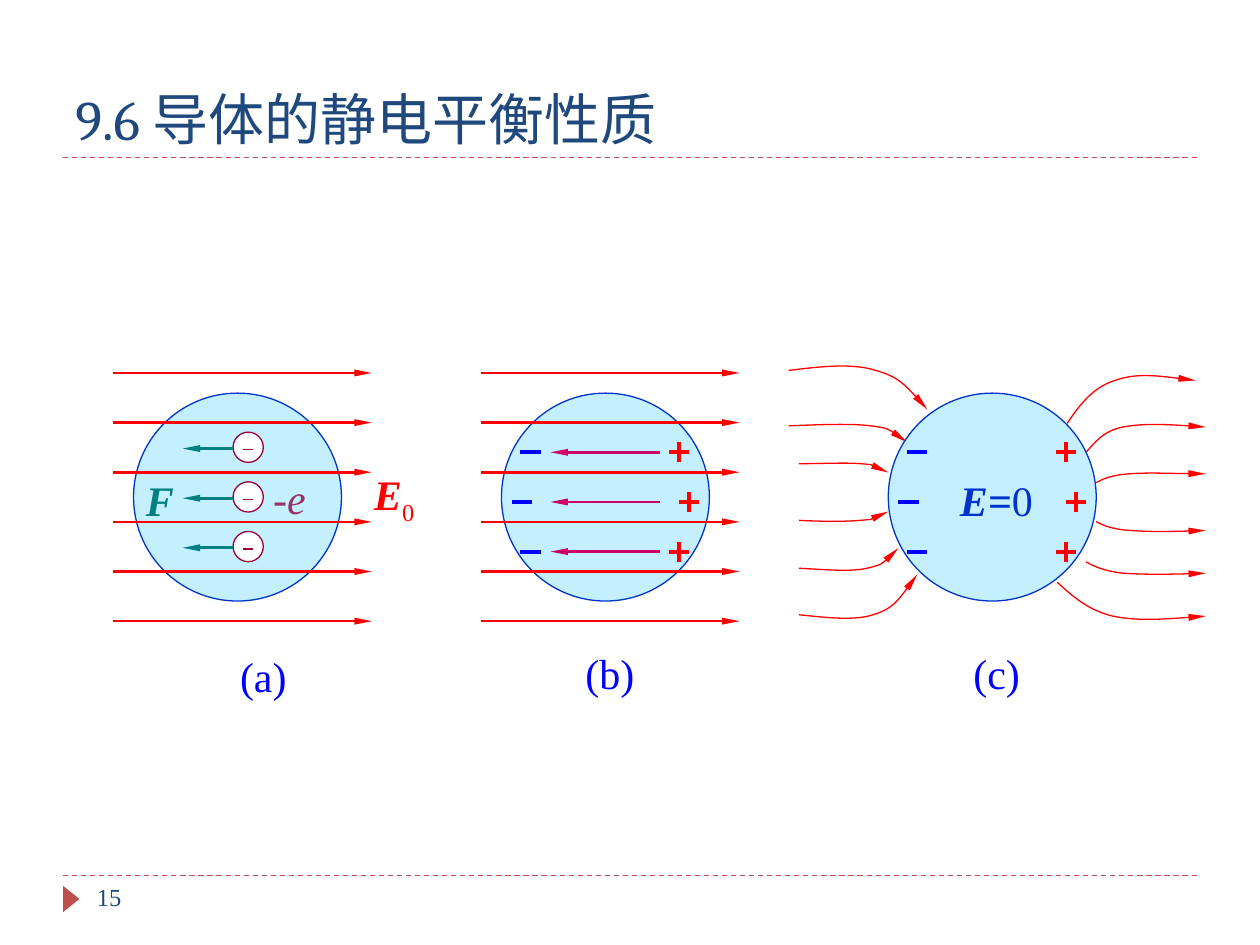
from lxml.etree import SubElement
from pptx import Presentation
from pptx.dml.color import RGBColor
from pptx.enum.dml import MSO_LINE
from pptx.enum.shapes import MSO_CONNECTOR, MSO_SHAPE
from pptx.enum.text import MSO_ANCHOR, PP_ALIGN
from pptx.oxml.ns import qn
from pptx.util import Inches, Pt


class Theme:
    navy, rust = "1F497D", "C0504D"
    ball, rim, white = "C3EFFF", "0033CC", "FFFFFF"
    red, blue, pink = "FF0000", "0000FF", "CC0066"
    teal, wine, plum = "008080", "990033", "993366"
    head, body = "Cambria", "Times New Roman"
    title, label, page = 32, 24, 14
    thin, mid, thick = 0.75, 1.5, 2.25


# Content: label text, left, top, width, colour, centred; runs are (text, style)
LABELS = [
    ([("F", "bi")], 1.06, 3.72, 0.63, Theme.teal, False),
    ([("E", "bi"), ("0", "sub")], 2.87, 3.67, 0.63, Theme.red, False),
    ([("-e", "i")], 2.07, 3.7, 0.87, Theme.plum, False),
    ([("E=", "bi"), ("0", "")], 7.52, 3.72, 0.87, Theme.rim, False),
    ([("(a)", "")], 1.38, 5.11, 1.42, Theme.blue, True),
    ([("(b)", "")], 4.13, 5.09, 1.42, Theme.blue, True),
    ([("(c)", "")], 7.2, 5.09, 1.42, Theme.blue, True),
]

# Bent field lines: start, then two cubic curves of three points each
INWARD = [
    [(6.26, 2.94), (6.51, 2.91), (6.76, 2.88), (6.95, 2.94), (7.13, 2.99), (7.25, 3.12), (7.36, 3.25)],
    [(6.26, 3.38), (6.51, 3.37), (6.76, 3.36), (6.91, 3.38), (7.07, 3.4), (7.14, 3.46), (7.2, 3.51)],
    [(6.34, 3.68), (6.53, 3.68), (6.71, 3.67), (6.83, 3.68), (6.95, 3.69), (7, 3.72), (7.05, 3.75)],
    [(6.34, 4.13), (6.53, 4.14), (6.71, 4.14), (6.83, 4.13), (6.95, 4.12), (7, 4.09), (7.05, 4.06)],
    [(6.34, 4.51), (6.55, 4.52), (6.75, 4.54), (6.88, 4.51), (7.01, 4.48), (7.07, 4.42), (7.13, 4.35)],
    [(6.34, 4.88), (6.55, 4.9), (6.77, 4.93), (6.93, 4.88), (7.09, 4.83), (7.18, 4.7), (7.28, 4.56)],
]
OUTWARD = [
    [(9.49, 3.02), (9.26, 2.99), (9.02, 2.96), (8.85, 3.02), (8.68, 3.07), (8.57, 3.21), (8.47, 3.36)],
    [(9.57, 3.39), (9.32, 3.37), (9.07, 3.36), (8.91, 3.39), (8.76, 3.42), (8.69, 3.51), (8.62, 3.59)],
    [(9.57, 3.76), (9.34, 3.76), (9.11, 3.75), (8.97, 3.76), (8.82, 3.77), (8.76, 3.8), (8.7, 3.83)],
    [(9.57, 4.21), (9.34, 4.22), (9.11, 4.22), (8.97, 4.21), (8.82, 4.2), (8.76, 4.17), (8.7, 4.14)],
    [(9.57, 4.55), (9.32, 4.56), (9.07, 4.56), (8.91, 4.55), (8.76, 4.53), (8.69, 4.5), (8.62, 4.46)],
    [(9.57, 4.89), (9.3, 4.91), (9.03, 4.93), (8.83, 4.89), (8.63, 4.84), (8.51, 4.73), (8.39, 4.62)],
]

# Grid: six field rows, three charge rows, one ball per panel
STEP = 1.97 / 5
FIELD = [2.96 + STEP * i for i in range(6)]
ROWS = [3.59 + STEP * i for i in range(3)]
BALL, TOP = 1.65, 3.12
PANEL = {"a": 1.06, "b": 3.98, "c": 7.05}
MINUS, PLUS, ARM = (0.23, 0.16, 0.23), (1.41, 1.49, 1.41), 0.08

deck = Presentation()
deck.slide_width, deck.slide_height = Inches(10), Inches(7.5)
shapes = deck.slides.add_slide(deck.slide_layouts[6]).shapes


def stroke(item, color, width, tip=None):
    item.line.color.rgb = RGBColor.from_string(color)
    item.line.width = Pt(width)
    if tip:
        ln = item.line._get_or_add_ln()
        SubElement(ln, qn(f"a:{tip}End"), type="triangle", w="sm", len="lg")


def rule(x1, y1, x2, y2, color, width, tip=None):
    item = shapes.add_connector(MSO_CONNECTOR.STRAIGHT, *map(Inches, (x1, y1, x2, y2)))
    stroke(item, color, width, tip)
    SubElement(item._element.spPr, qn("a:effectLst"))
    return item


def solid(kind, x, y, w, h, fill, edge=None):
    item = shapes.add_shape(kind, *map(Inches, (x, y, w, h)))
    item.shadow.inherit = False
    item.fill.solid()
    item.fill.fore_color.rgb = RGBColor.from_string(fill)
    if edge:
        stroke(item, edge, Theme.thin)
    else:
        item.line.fill.background()
    return item


def curve(points, tip):
    start, *rest = [(Inches(x), Inches(y)) for x, y in points]
    pen = shapes.build_freeform(*start)
    pen.add_line_segments(rest, close=False)
    item = pen.convert_to_shape()
    item.shadow.inherit = False
    item.fill.background()
    stroke(item, Theme.red, Theme.thin, tip)
    # Turn each three straight segments into one cubic curve
    track = next(item._element.iter(qn("a:path")))
    legs = track.findall(qn("a:lnTo"))
    for i in range(0, len(legs), 3):
        bend = SubElement(track, qn("a:cubicBezTo"))
        for leg in legs[i:i + 3]:
            bend.append(leg[0])
            track.remove(leg)


def write(runs, x, y, w, h, color, size, font=Theme.body, center=False):
    frame = shapes.add_textbox(*map(Inches, (x, y, w, h))).text_frame
    frame.word_wrap = True
    para = frame.paragraphs[0]
    para.alignment = PP_ALIGN.CENTER if center else PP_ALIGN.LEFT
    para.font.name, para.font.size = font, Pt(size)
    para.font.color.rgb = RGBColor.from_string(color)
    for text, style in runs:
        run = para.add_run()
        run.text = text
        if style == "sub":
            run.font._element.set("baseline", "-25000")
        else:
            run.font.bold, run.font.italic = "b" in style, "i" in style
    return frame


def ball(x):
    solid(MSO_SHAPE.OVAL, x, TOP, BALL, BALL, Theme.ball, Theme.rim)


def field(x):
    for y in FIELD:
        rule(x - 0.16, y, x + 1.89, y, Theme.red, Theme.mid, "tail")


def charges(x):
    for y, neg, pos in zip(ROWS, MINUS, PLUS):
        for mid, color in ((x + neg, Theme.blue), (x + pos, Theme.red)):
            rule(mid - ARM, y, mid + ARM, y, color, Theme.thick)
        rule(x + pos, y - ARM, x + pos, y + ARM, Theme.red, Theme.thick)


# Frame: dashed rules, title, page mark
for y in (1.25, 6.95):
    rule(0.5, y, 9.5, y, Theme.rust, Theme.thin).line.dash_style = MSO_LINE.DASH
solid(MSO_SHAPE.ISOSCELES_TRIANGLE, 0.46, 7.07, 0.21, 0.13, Theme.rust).rotation = 90
title = write([("9.6 导体的静电平衡性质", "")], 0.5, 0.25, 9, 1, Theme.navy, Theme.title, Theme.head)
title.vertical_anchor = MSO_ANCHOR.BOTTOM
write([("15", "")], 0.67, 6.95, 2.17, 0.4, Theme.navy, Theme.page)

# Panel b: separated charges and the inner field
ball(PANEL["b"])
field(PANEL["b"])
for y in ROWS:
    rule(5.24, y, 4.37, y, Theme.pink, Theme.mid, "tail")
charges(PANEL["b"])

# Panel c: equilibrium
for points in INWARD:
    curve(points, "tail")
for points in OUTWARD:
    curve(points, "head")
ball(PANEL["c"])
charges(PANEL["c"])

# Panel a: electrons pushed against the field
ball(PANEL["a"])
field(PANEL["a"])
for y in ROWS:
    solid(MSO_SHAPE.OVAL, 1.85, y - 0.16, 0.24, 0.24, Theme.white, Theme.wine)
    rule(1.93, y - 0.02, 2.01, y - 0.02, Theme.wine, Theme.thin)
    rule(1.85, y - 0.03, 1.45, y - 0.03, Theme.teal, Theme.mid, "tail")

# Labels
for runs, x, y, w, color, center in LABELS:
    write(runs, x, y, w, 0.5, color, Theme.label, center=center)

deck.save("out.pptx")
